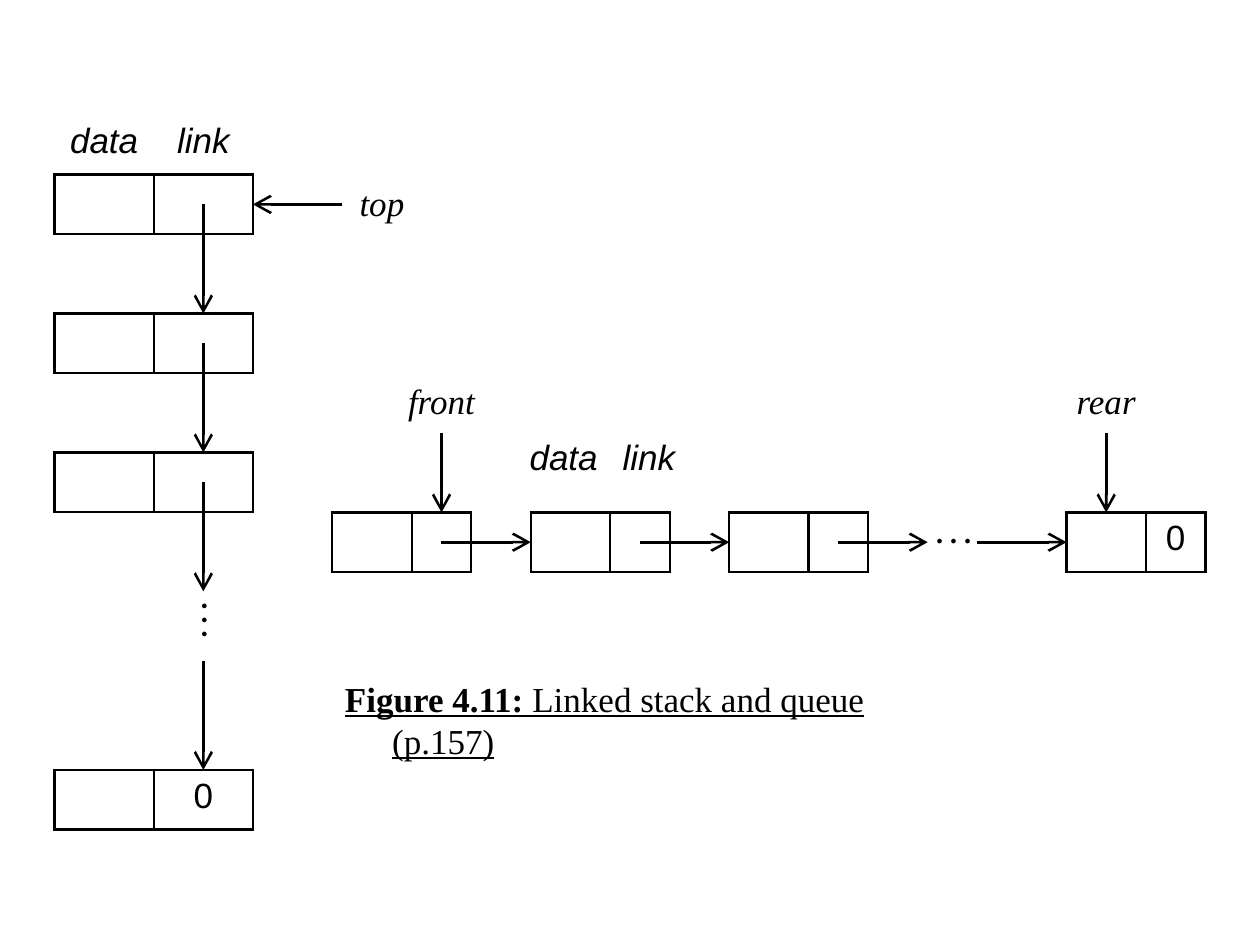
from dataclasses import dataclass
from typing import Any

from lxml import etree
from pptx import Presentation
from pptx.dml.color import RGBColor
from pptx.enum.shapes import MSO_CONNECTOR
from pptx.enum.text import MSO_ANCHOR, MSO_AUTO_SIZE, PP_ALIGN
from pptx.oxml.ns import qn
from pptx.util import Cm, Pt

BLACK = RGBColor(0, 0, 0)
LINE = MSO_CONNECTOR.STRAIGHT
TOP = MSO_ANCHOR.TOP
NO_FIT = MSO_AUTO_SIZE.NONE
LEFT, MID, RIGHT = PP_ALIGN.LEFT, PP_ALIGN.CENTER, PP_ALIGN.RIGHT
SANS, SERIF = "Arial", "Times New Roman"
PLAIN = "{2D5ABB26-0587-4C30-8999-92F81FD0307C}"
WIDE = 1.5


@dataclass(frozen=True)
class Arrow:
    x1: float
    y1: float
    x2: float
    y2: float


@dataclass(frozen=True)
class Label:
    text: str
    x: float
    y: float


@dataclass(frozen=True)
class Entry:
    row: int
    col: int
    text: str
    align: Any = MID
    size: int = 20
    font: str = SANS
    slant: bool = False
    left: float = 0.25
    top: float = 0.13
    foot: float = 0.13


@dataclass(frozen=True)
class Grid:
    x: float
    y: float
    cols: list[float]
    rows: list[float]
    sides: dict[tuple[int, int], str]
    items: list[Entry]


def style(run: Any, font: str, size: int = 20, slant: bool = False) -> None:
    run.font.name = font
    run.font.size = Pt(size)
    run.font.italic = slant
    run.font.color.rgb = BLACK


def edge(cell: Any, sides: str) -> None:
    props = cell._tc.get_or_add_tcPr()
    for side in sides:
        line = etree.SubElement(props, qn(f"a:ln{side}"), w=str(Pt(WIDE)))
        fill = etree.SubElement(line, qn("a:solidFill"))
        etree.SubElement(fill, qn("a:srgbClr"), val=str(BLACK))


def draw_grid(slide: Any, grid: Grid) -> None:
    frame = slide.shapes.add_table(
        len(grid.rows), len(grid.cols), Cm(grid.x), Cm(grid.y),
        Cm(sum(grid.cols)), Cm(sum(grid.rows)))
    table = frame.table
    table.first_row = table.horz_banding = False
    for node in frame._element.iter(qn("a:tableStyleId")):
        node.text = PLAIN
    for col, width in zip(table.columns, grid.cols):
        col.width = Cm(width)
    for row, height in zip(table.rows, grid.rows):
        row.height = Cm(height)
    for spot, sides in grid.sides.items():
        edge(table.cell(*spot), sides)
    for cell in table.iter_cells():
        cell.fill.background()
    for item in grid.items:
        cell = table.cell(item.row, item.col)
        cell.margin_left, cell.margin_right = Cm(item.left), Cm(0.25)
        cell.margin_top, cell.margin_bottom = Cm(item.top), Cm(item.foot)
        cell.text_frame.text = item.text
        para = cell.text_frame.paragraphs[0]
        para.alignment = item.align
        style(para.runs[0], item.font, item.size, item.slant)


def draw_arrow(slide: Any, arrow: Arrow) -> None:
    line = slide.shapes.add_connector(
        LINE, Cm(arrow.x1), Cm(arrow.y1), Cm(arrow.x2), Cm(arrow.y2))
    line.line.color.rgb = BLACK
    line.line.width = Pt(WIDE)
    etree.SubElement(line.line._get_or_add_ln(), qn("a:tailEnd"),
                     type="arrow", w="lg", len="lg")
    etree.SubElement(line._element.spPr, qn("a:effectLst"))


def draw_label(slide: Any, label: Label) -> None:
    box = slide.shapes.add_textbox(Cm(label.x), Cm(label.y), Cm(1.6), Cm(1.2))
    frame = box.text_frame
    frame.word_wrap = False
    frame.margin_left = frame.margin_right = 0
    frame.text = label.text
    para = frame.paragraphs[0]
    para.alignment = MID
    style(para.runs[0], SERIF, slant=True)


def draw_note(slide: Any) -> None:
    note = slide.placeholders[1]
    note.left, note.top, note.width, note.height = map(Cm, (6.7, 13.53, 13.2, 1.2))
    frame = note.text_frame
    frame.auto_size = NO_FIT
    frame.vertical_anchor = TOP
    para = frame.paragraphs[0]
    para.alignment = LEFT
    para.space_before = Pt(4)
    props = para._p.get_or_add_pPr()
    props.set("marL", str(Cm(0.95)))
    props.set("indent", str(Cm(-0.95)))
    etree.SubElement(props, qn("a:buNone"))
    for text, bold in (("Figure 4.11: ", True), ("Linked stack and queue (p.157)", False)):
        run = para.add_run()
        run.text = text
        style(run, SERIF)
        run.font.bold = bold
        run.font.underline = True


def main() -> None:
    deck = Presentation()
    deck.slide_width, deck.slide_height = Cm(25.4), Cm(19.05)
    slide = deck.slides.add_slide(deck.slide_layouts[1])
    head = slide.shapes.title._element
    head.getparent().remove(head)

    gaps = (2, 5, 8)
    queue = Grid(
        6.7, 10.33, [1.6, 1.2, 1.2, 1.6, 1.2, 1.2, 1.6, 1.2, 4, 1.6, 1.2], [1.2],
        {(0, c): "LR" if c in gaps else "LRTB" for c in range(11)},
        [Entry(0, 8, "⋯", LEFT, 24, SERIF, left=1.3, top=0.05, foot=0.1),
         Entry(0, 10, "0")])
    bands = {0: "B", 2: "TB", 4: "TB", 6: "TB"}
    stack = Grid(
        1.1, 2.32, [2, 2], [1.2, 1.2, 1.6, 1.2, 1.6, 1.2, 5.2, 1.2],
        {(r, c): bands.get(r, "LRTB") for r in range(8) for c in range(2)},
        [Entry(0, 0, "data", slant=True), Entry(0, 1, "link", slant=True),
         Entry(6, 1, "⋮", MID, 24, SERIF, left=0.3, top=1.75),
         Entry(7, 1, "0")])
    heads = Grid(
        10.3, 8.72, [2, 1.6], [1.2], {},
        [Entry(0, 0, "data", RIGHT, slant=True),
         Entry(0, 1, "link", LEFT, slant=True)])
    for grid in (queue, stack, heads):
        draw_grid(slide, grid)

    arrows = [Arrow(x, 10.93, x + 1.8, 10.93) for x in (8.9, 12.9, 16.9, 19.7)]
    arrows += [Arrow(4.1, y, 4.1, y + 2.2) for y in (4.12, 6.92, 9.72, 13.32)]
    arrows += [Arrow(x, 8.73, x, 10.33) for x in (8.9, 22.3)]
    arrows.append(Arrow(6.9, 4.12, 5.1, 4.12))
    for arrow in arrows:
        draw_arrow(slide, arrow)

    for label in (Label("front", 8.1, 7.53), Label("top", 6.9, 3.53),
                  Label("rear", 21.5, 7.53)):
        draw_label(slide, label)
    draw_note(slide)
    deck.save("out.pptx")


if __name__ == "__main__":
    main()
